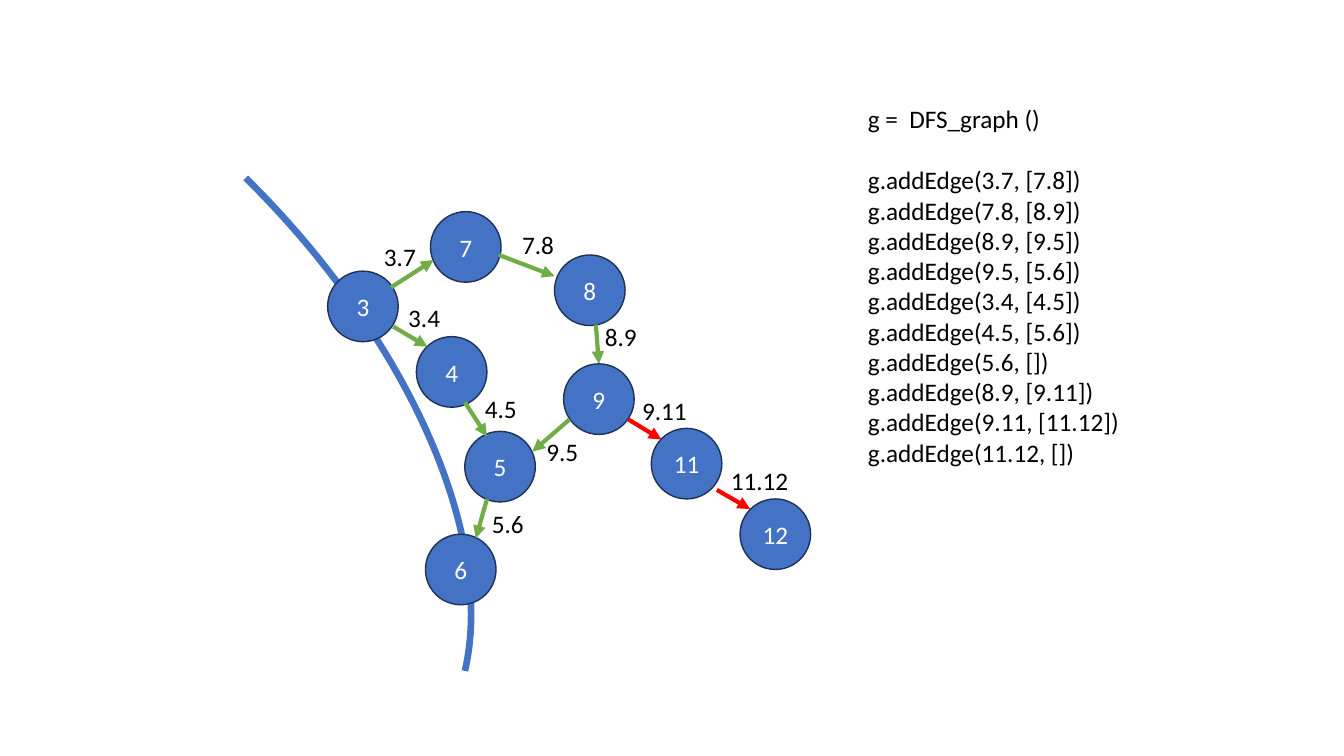
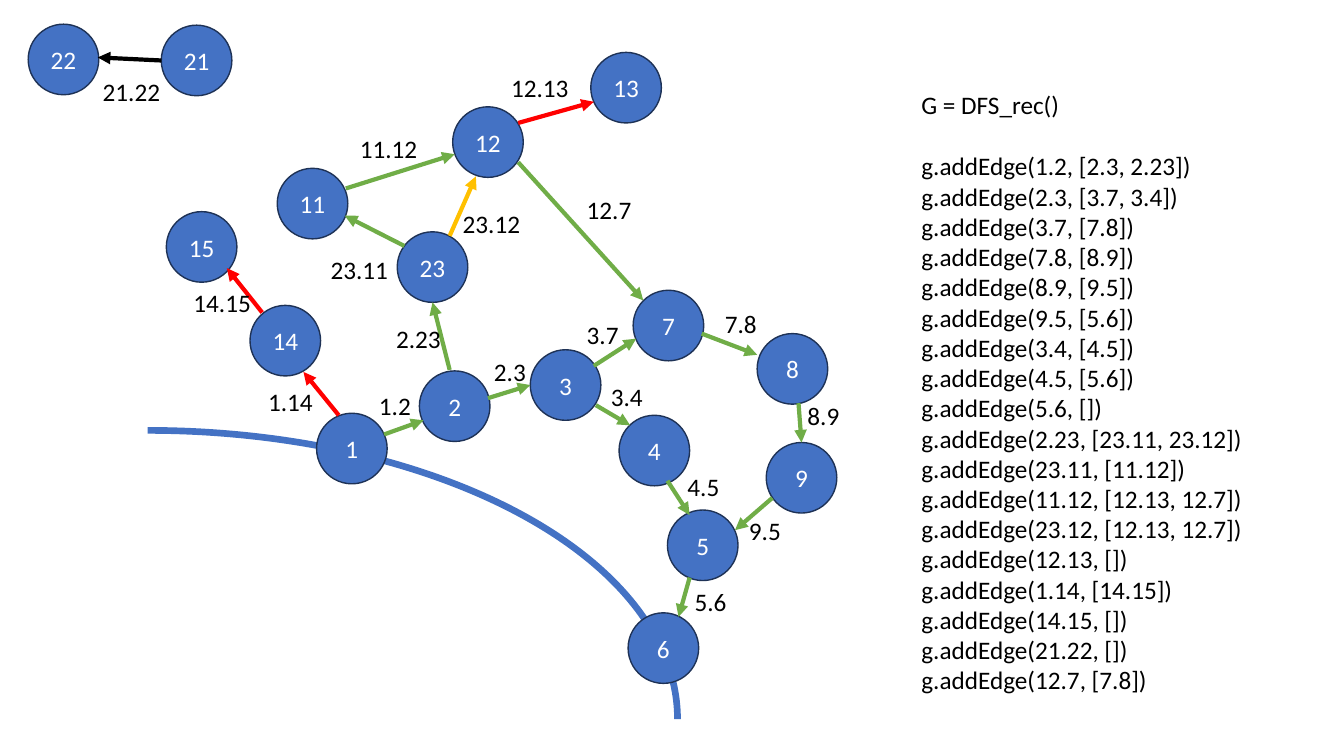
from lxml import etree
from pptx import Presentation
from pptx.dml.color import RGBColor
from pptx.enum.shapes import MSO_CONNECTOR, MSO_SHAPE
from pptx.enum.text import MSO_ANCHOR, MSO_AUTO_SIZE, PP_ALIGN
from pptx.oxml.ns import qn
from pptx.util import Inches, Pt

LINE, ARC, OVAL = MSO_CONNECTOR.STRAIGHT, MSO_SHAPE.ARC, MSO_SHAPE.OVAL
MIDDLE, CENTER = MSO_ANCHOR.MIDDLE, PP_ALIGN.CENTER
FIT = MSO_AUTO_SIZE.SHAPE_TO_FIT_TEXT

HUES = {
    "blue": "4472C4",
    "navy": "1E3256",
    "green": "70AD47",
    "red": "FF0000",
    "gold": "FFC000",
    "black": "000000",
    "white": "FFFFFF",
}
FONT, SIZE = "Calibri", 18
SIDE = 0.7

CORE = {
    "nodes": {
        "7": (1.02, 0), "8": (2.25, 0.43), "9": (2.34, 1.51), "5": (1.36, 2.18),
        "3": (0, 0.59), "4": (0.88, 1.24), "6": (0.97, 3.2),
    },
    "edges": {
        "3.4": ("green", (0.65, 1.14), (0.99, 1.34), (0.7, 0.85)),
        "4.5": ("green", (1.36, 1.89), (1.58, 2.23), (1.46, 1.75)),
        "5.6": ("green", (1.58, 2.85), (1.47, 3.24), (1.53, 2.89)),
        "3.7": ("green", (0.63, 0.75), (1.05, 0.48), (0.46, 0.24)),
        "7.8": ("green", (1.7, 0.43), (2.25, 0.64), (1.83, 0.13)),
        "8.9": ("green", (2.66, 1.12), (2.69, 1.51), (2.65, 1.04)),
        "9.5": ("green", (2.4, 2.06), (2.03, 2.38), (2.07, 2.18)),
    },
}
BRANCH = {
    "nodes": {"11": (0.23, 0.38), "12": (1.11, 1.08)},
    "edges": {
        "9.11": ("red", (0, 0.29), (0.33, 0.49), (0.04, 0)),
        "11.12": ("red", (0.88, 0.99), (1.21, 1.18), (0.92, 0.7)),
    },
}
OUTER = {
    "nodes": {
        "1": (3.14, 4.1), "2": (4.16, 3.68), "23": (3.94, 2.3), "11": (2.75, 1.67),
        "12": (4.49, 1.06), "13": (5.86, 0.52), "14": (2.48, 3.03),
        "15": (1.65, 2.1), "21": (1.6, 0.25), "22": (0.28, 0.24),
    },
    "edges": {
        "1.2": ("green", (3.81, 4.31), (4.2, 4.17), (3.66, 3.82)),
        "2.3": ("green", (4.84, 3.95), (5.26, 3.82), (4.8, 3.49)),
        "2.23": ("green", (4.46, 3.67), (4.29, 3), (3.83, 3.16)),
        "23.11": ("green", (4.01, 2.44), (3.42, 2.14), (3.18, 2.47)),
        "11.12": ("green", (3.43, 1.87), (4.51, 1.53), (3.47, 1.27)),
        "12.7": ("green", (5.14, 1.61), (6.38, 2.98), (5.72, 1.88)),
        "23.12": ("gold", (4.46, 2.34), (4.72, 1.75), (4.49, 2.02)),
        "12.13": ("red", (5.14, 1.22), (5.89, 1.01), (4.97, 0.67)),
        "1.14": ("red", (3.36, 4.12), (3.01, 3.69), (2.56, 3.78)),
        "14.15": ("red", (2.6, 3.1), (2.25, 2.66), (1.82, 2.8)),
        "21.22": ("black", (1.6, 0.6), (0.97, 0.57), (0.92, 0.71)),
    },
}
CALLS_ONE = [
    ("3.7", "7.8"), ("7.8", "8.9"), ("8.9", "9.5"), ("9.5", "5.6"),
    ("3.4", "4.5"), ("4.5", "5.6"), ("5.6", ""), ("8.9", "9.11"),
    ("9.11", "11.12"), ("11.12", ""),
]
CALLS_TWO = [
    ("1.2", "2.3, 2.23"), ("2.3", "3.7, 3.4"), ("3.7", "7.8"), ("7.8", "8.9"),
    ("8.9", "9.5"), ("9.5", "5.6"), ("3.4", "4.5"), ("4.5", "5.6"), ("5.6", ""),
    ("2.23", "23.11, 23.12"), ("23.11", "11.12"), ("11.12", "12.13, 12.7"),
    ("23.12", "12.13, 12.7"), ("12.13", ""), ("1.14", "14.15"), ("14.15", ""),
    ("21.22", ""), ("12.7", "7.8"),
]


def tint(name):
    """Return the named colour."""
    return RGBColor.from_string(HUES[name])


def style(para, hue):
    """Set the font of a paragraph."""
    font = para.font
    font.name, font.size = FONT, Pt(SIZE)
    font.color.rgb = tint(hue)


def add_text(slide, x, y, w, h, lines):
    """Add an unwrapped text box and return its paragraphs."""
    box = slide.shapes.add_textbox(Inches(x), Inches(y), Inches(w), Inches(h))
    frame = box.text_frame
    frame.text = "\n".join(lines)
    frame.word_wrap = False
    frame.auto_size = FIT
    for para in frame.paragraphs:
        style(para, "black")
    return frame.paragraphs


def add_curve(slide, x, y, turn=0, end=0):
    """Draw the thick boundary arc."""
    arc = slide.shapes.add_shape(ARC, Inches(x), Inches(y), Inches(10.51), Inches(5.73))
    arc.shadow.inherit = False
    arc.adjustments[0], arc.adjustments[1] = 162, end
    arc.rotation = turn
    arc.fill.background()
    arc.line.color.rgb = tint("blue")
    arc.line.width = Pt(4.75)


def add_node(slide, x, y, name):
    """Draw one numbered circle."""
    node = slide.shapes.add_shape(OVAL, Inches(x), Inches(y), Inches(SIDE), Inches(SIDE))
    node.shadow.inherit = False
    node.fill.solid()
    node.fill.fore_color.rgb = tint("blue")
    node.line.color.rgb = tint("navy")
    node.line.width = Pt(1)
    frame = node.text_frame
    frame.text = name
    frame.word_wrap = False
    frame.vertical_anchor = MIDDLE
    para = frame.paragraphs[0]
    para.alignment = CENTER
    style(para, "white")


def add_arrow(slide, start, end, hue):
    """Draw an arrow between two points."""
    points = [Inches(v) for v in (*start, *end)]
    arrow = slide.shapes.add_connector(LINE, *points)
    arrow.line.color.rgb = tint(hue)
    arrow.line.width = Pt(3)
    etree.SubElement(arrow.line._get_or_add_ln(), qn("a:tailEnd"), type="triangle")
    etree.SubElement(arrow._element.spPr, qn("a:effectLst"))


def add_graph(slide, x, y, graph):
    """Draw nodes, arrows and labels from the corner of a box."""
    def shift(point):
        """Move a point into the box."""
        return x + point[0], y + point[1]

    for name, spot in graph["nodes"].items():
        add_node(slide, *shift(spot), name)
    for name, (hue, start, end, label) in graph["edges"].items():
        add_arrow(slide, shift(start), shift(end), hue)
        add_text(slide, *shift(label), 0.13 * (len(name) + 1), 0.4, [name])


def add_code(slide, x, y, w, h, head, calls):
    """Add the listing: a heading, a gap and the calls."""
    lines = [f"g.addEdge({edge}, [{nexts}])" for edge, nexts in calls]
    paras = add_text(slide, x, y, w, h, [head, *lines])
    paras[0].space_after = Pt(22)


def main():
    """Build both slides."""
    deck = Presentation()
    deck.slide_width, deck.slide_height = Inches(13.33), Inches(7.5)
    blank = deck.slide_layouts[6]

    slide = deck.slides.add_slide(blank)
    add_curve(slide, -4.83, 0.94, 44.6, 209.79)
    add_graph(slide, 3.25, 2.1, CORE)
    add_graph(slide, 6.23, 3.87, BRANCH)
    add_code(slide, 8.51, 0.98, 2.72, 3.74, "g =  DFS_graph ()", CALLS_ONE)

    slide = deck.slides.add_slide(blank)
    add_curve(slide, -3.79, 4.27)
    add_graph(slide, 5.26, 2.88, CORE)
    add_graph(slide, 0, 0, OUTER)
    add_code(slide, 9.04, 0.84, 3.41, 6.46, "G = DFS_rec()", CALLS_TWO)

    deck.save("out.pptx")


if __name__ == "__main__":
    main()
